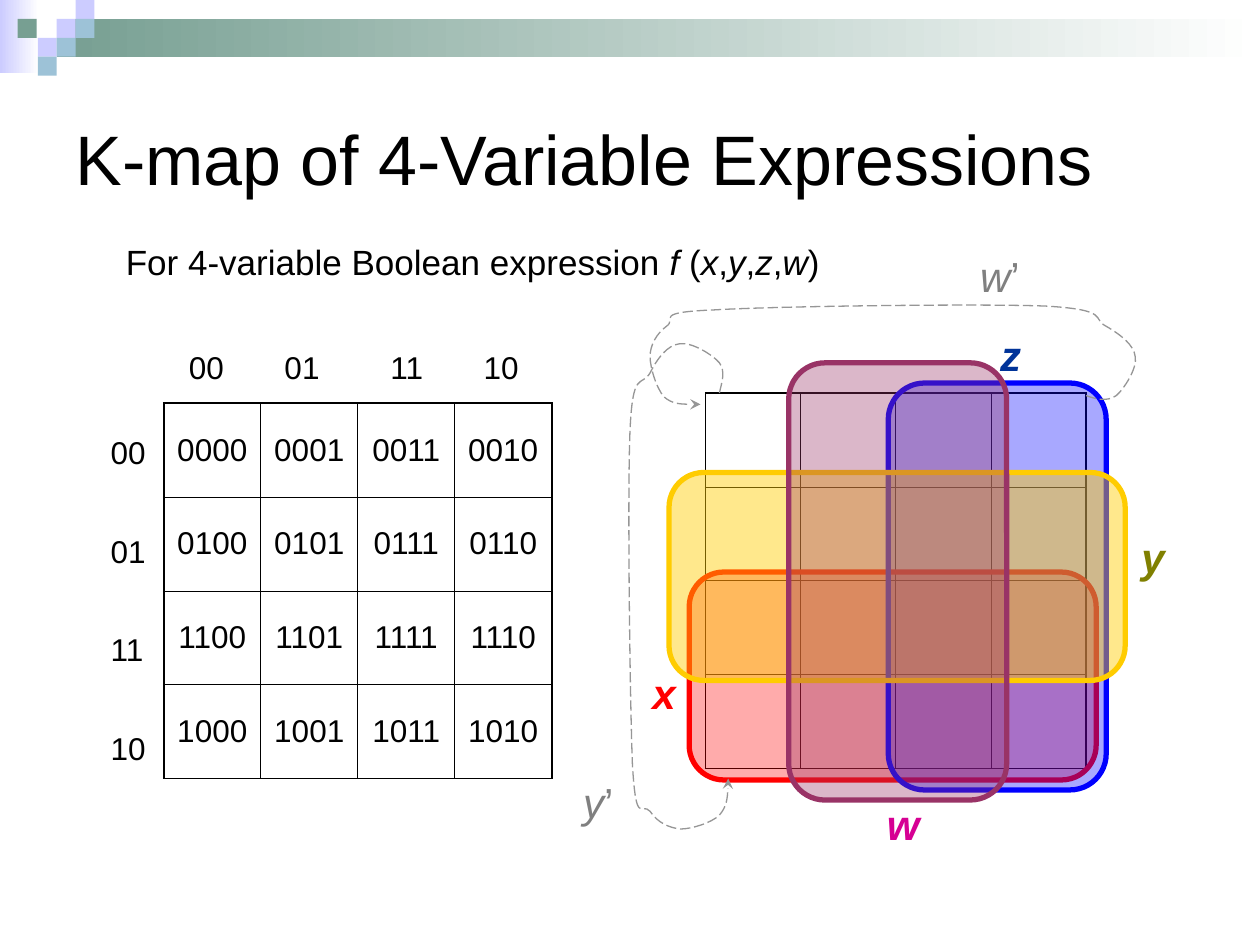
from dataclasses import dataclass
from itertools import product

from lxml.etree import SubElement
from pptx import Presentation
from pptx.dml.color import RGBColor
from pptx.enum.dml import MSO_LINE
from pptx.enum.shapes import MSO_SHAPE
from pptx.enum.text import MSO_ANCHOR, MSO_AUTO_SIZE, PP_ALIGN
from pptx.oxml import parse_xml
from pptx.oxml.ns import nsdecls, qn
from pptx.util import Inches, Pt

BLACK = RGBColor(0x00, 0x00, 0x00)
WHITE = RGBColor(0xFF, 0xFF, 0xFF)
LAVENDER = RGBColor(0xCC, 0xCC, 0xFF)
SAGE = RGBColor(0x77, 0x9F, 0x92)
SKY = RGBColor(0x9D, 0xC2, 0xD7)
RED = RGBColor(0xFF, 0x00, 0x00)
BLUE = RGBColor(0x00, 0x00, 0xFF)
NAVY = RGBColor(0x00, 0x33, 0x99)
GOLD = RGBColor(0xFF, 0xCC, 0x00)
OLIVE = RGBColor(0x80, 0x80, 0x00)
PLUM = RGBColor(0x99, 0x33, 0x66)
MAGENTA = RGBColor(0xD6, 0x00, 0x93)
GRAY = RGBColor(0x80, 0x80, 0x80)
ARROW_GRAY = RGBColor(0x96, 0x96, 0x96)

FONT = "Arial"
GRAY_CODE = ["00", "01", "11", "10"]
TILE = 0.15

Box = tuple[float, float, float, float]
Point = tuple[float, float]


@dataclass
class Region:
    box: Box
    color: RGBColor
    opacity: int
    name: str
    name_box: Box
    name_color: RGBColor


REGIONS = [
    Region((5.47, 4.54, 3.23, 1.65), RED, 33, "x", (5.08, 5.25, 0.47, 0.5), RED),
    Region((7.05, 3.04, 1.73, 3.23), BLUE, 34, "z", (7.84, 2.57, 0.63, 0.5), NAVY),
    Region((5.31, 3.75, 3.62, 1.65), GOLD, 45, "y", (8.96, 4.17, 0.55, 0.5), OLIVE),
    Region((6.26, 2.88, 1.73, 3.47), PLUM, 35, "w", (6.94, 6.29, 0.55, 0.5), MAGENTA),
]

TILES = [
    (0.45, 0.15, LAVENDER), (0.6, 0, LAVENDER), (0.6, 0.15, SKY), (0.3, 0.3, LAVENDER),
    (0.14, 0.15, SAGE), (0.45, 0.3, SKY), (0.3, 0.45, SKY),
]

Y_WRAP = [
    (5.71, 3.12), (5.73, 3.03), (5.76, 2.95), (5.71, 2.88), (5.66, 2.82), (5.49, 2.71),
    (5.39, 2.73), (5.3, 2.74), (5.22, 2.84), (5.16, 2.96), (5.09, 3.08), (5.02, 2.92),
    (5, 3.44), (4.98, 3.95), (5, 5.56), (5.02, 6.07), (5.05, 6.57), (5.09, 6.36),
    (5.16, 6.44), (5.22, 6.53), (5.31, 6.57), (5.4, 6.58), (5.49, 6.58), (5.65, 6.53),
    (5.71, 6.47), (5.77, 6.4), (5.78, 6.29), (5.78, 6.18),
]
W_WRAP = [
    (8.62, 3.14), (8.7, 3.17), (8.79, 3.19), (8.86, 3.14), (8.92, 3.09), (9.03, 2.92),
    (9.01, 2.83), (9, 2.74), (8.9, 2.66), (8.78, 2.59), (8.66, 2.53), (8.82, 2.46),
    (8.3, 2.43), (7.79, 2.41), (6.17, 2.43), (5.67, 2.46), (5.17, 2.48), (5.38, 2.53),
    (5.29, 2.59), (5.21, 2.65), (5.16, 2.74), (5.16, 2.83), (5.16, 2.92), (5.21, 3.08),
    (5.27, 3.15), (5.34, 3.21), (5.45, 3.21), (5.56, 3.21),
]


def style_run(r, size: float, color: RGBColor, bold: bool = False, italic: bool = False) -> None:
    r.font.name, r.font.size = FONT, Pt(size)
    r.font.bold, r.font.italic = bold, italic
    r.font.color.rgb = color


def add_text(s, box: Box, parts: list[tuple[str, bool]], size: float,
             color: RGBColor = BLACK, bold: bool = False):
    sp = s.shapes.add_textbox(*map(Inches, box))
    tf = sp.text_frame
    tf.word_wrap = True
    tf.auto_size = MSO_AUTO_SIZE.SHAPE_TO_FIT_TEXT
    p = tf.paragraphs[0]
    for text, italic in parts:
        r = p.add_run()
        r.text = text
        style_run(r, size, color, bold, italic)
    return tf


def add_block(s, box: Box, color: RGBColor, preset=MSO_SHAPE.RECTANGLE, fade: bool = False):
    sp = s.shapes.add_shape(preset, *map(Inches, box))
    sp.shadow.inherit = False
    sp.line.fill.background()
    if fade:
        sp.fill.gradient()
        sp.fill.gradient_angle = 0
        for stop, stop_color in zip(sp.fill.gradient_stops, (color, WHITE)):
            stop.color.rgb = stop_color
    else:
        sp.fill.solid()
        sp.fill.fore_color.rgb = color
    return sp


def add_region(s, region: Region) -> None:
    sp = add_block(s, region.box, region.color, MSO_SHAPE.ROUNDED_RECTANGLE)
    fill_color = sp.fill._xPr.find(qn("a:solidFill"))[0]
    SubElement(fill_color, qn("a:alpha"), val=str(region.opacity * 1000))
    sp.line.color.rgb = region.color
    sp.line.width = Pt(3)
    add_text(s, region.name_box, [(region.name, True)], 24, region.name_color, True)


def add_grid(s, box: Box, values: list[list[str]]) -> None:
    table_frame = s.shapes.add_table(4, 4, *map(Inches, box))
    table = table_frame.table
    table.first_row = table.horz_banding = False
    for i in range(4):
        table.columns[i].width = Inches(box[2] / 4)
        table.rows[i].height = Inches(box[3] / 4)
    for i, j in product(range(4), repeat=2):
        cell = table.cell(i, j)
        cell.fill.background()
        cell.vertical_anchor = MSO_ANCHOR.MIDDLE
        p = cell.text_frame.paragraphs[0]
        p.text = values[i][j]
        p.alignment = PP_ALIGN.CENTER
        for r in p.runs:
            style_run(r, 18, BLACK)
        tc_pr = cell._tc.get_or_add_tcPr()
        edges = {"L": j == 0, "R": j == 3, "T": i == 0, "B": i == 3}
        for k, (side, outer) in enumerate(edges.items()):
            width = Pt(1.08 if outer else 0.45)
            tc_pr.insert(k, parse_xml(
                f'<a:ln{side} {nsdecls("a")} w="{width}"><a:solidFill>'
                f'<a:srgbClr val="{BLACK}"/></a:solidFill></a:ln{side}>'))


def add_curved_arrow(s, points: list[Point]) -> None:
    emu = [(Inches(x), Inches(y)) for x, y in points]
    builder = s.shapes.build_freeform(*emu[0])
    builder.add_line_segments(emu[1:], close=False)
    sp = builder.convert_to_shape()
    sp.shadow.inherit = False
    sp.fill.background()
    sp.line.color.rgb = ARROW_GRAY
    sp.line.width = Pt(0.74)
    sp.line.dash_style = MSO_LINE.LONG_DASH
    SubElement(sp.line._get_or_add_ln(), qn("a:tailEnd"), type="stealth")
    segments = list(sp._element.iter(qn("a:lnTo")))
    outline = segments[0].getparent()
    for k in range(0, len(segments), 3):
        curve = SubElement(outline, qn("a:cubicBezTo"))
        for segment in segments[k:k + 3]:
            curve.append(segment[0])
            outline.remove(segment)


prs = Presentation()
prs.slide_width, prs.slide_height = Inches(10), Inches(7.5)
s = prs.slides.add_slide(prs.slide_layouts[5])

add_block(s, (0, 0, 0.31, 0.58), LAVENDER, fade=True)
add_block(s, (0.45, 0.15, 9.55, 0.3), SAGE, fade=True)
for x, y, color in TILES:
    add_block(s, (x, y, TILE, TILE), color)

title = s.shapes.title
title.left, title.top, title.width, title.height = map(Inches, (0.5, 0.5, 9, 1.5))
title.text_frame.text = "K-map of 4-Variable Expressions"
title.text_frame.vertical_anchor = MSO_ANCHOR.MIDDLE
p = title.text_frame.paragraphs[0]
p.alignment = PP_ALIGN.LEFT
style_run(p.runs[0], 40, BLACK)

formula = [("For 4-variable Boolean expression ", False), ("f ", True), ("(", False),
           ("x", True), (",", False), ("y", True), (",", False), ("z", True),
           (",", False), ("w", True), (")", False)]
add_text(s, (0.9, 1.86, 6.69, 0.44), formula, 20)

add_grid(s, (1.3, 3.2, 3.08, 2.98), [[row + col for col in GRAY_CODE] for row in GRAY_CODE])

tf = add_text(s, (0.78, 3.39, 0.63, 2.71), [(GRAY_CODE[0], False)], 18)
for code in GRAY_CODE[1:]:
    p = tf.add_paragraph()
    p.text = code
    p.space_before = Pt(34.7)
    style_run(p.runs[0], 18, BLACK)

tf = add_text(s, (1.4, 2.71, 3.24, 0.4), [("\t".join(GRAY_CODE), False)], 18)
tabs = SubElement(tf.paragraphs[0]._p.get_or_add_pPr(), qn("a:tabLst"))
for stop in (0.76, 1.6, 2.34):
    SubElement(tabs, qn("a:tab"), pos=str(Inches(stop)), algn="l")

add_grid(s, (5.6, 3.12, 3.02, 2.98), [[""] * 4] * 4)
for region in REGIONS:
    add_region(s, region)
for wrap in (Y_WRAP, W_WRAP):
    add_curved_arrow(s, wrap)
for name, left, top in (("w", 7.68, 1.94), ("y", 4.53, 6.11)):
    add_text(s, (left, top, 1.18, 0.5), [(name, True), ("’", False)], 24, GRAY)

prs.save("out.pptx")
